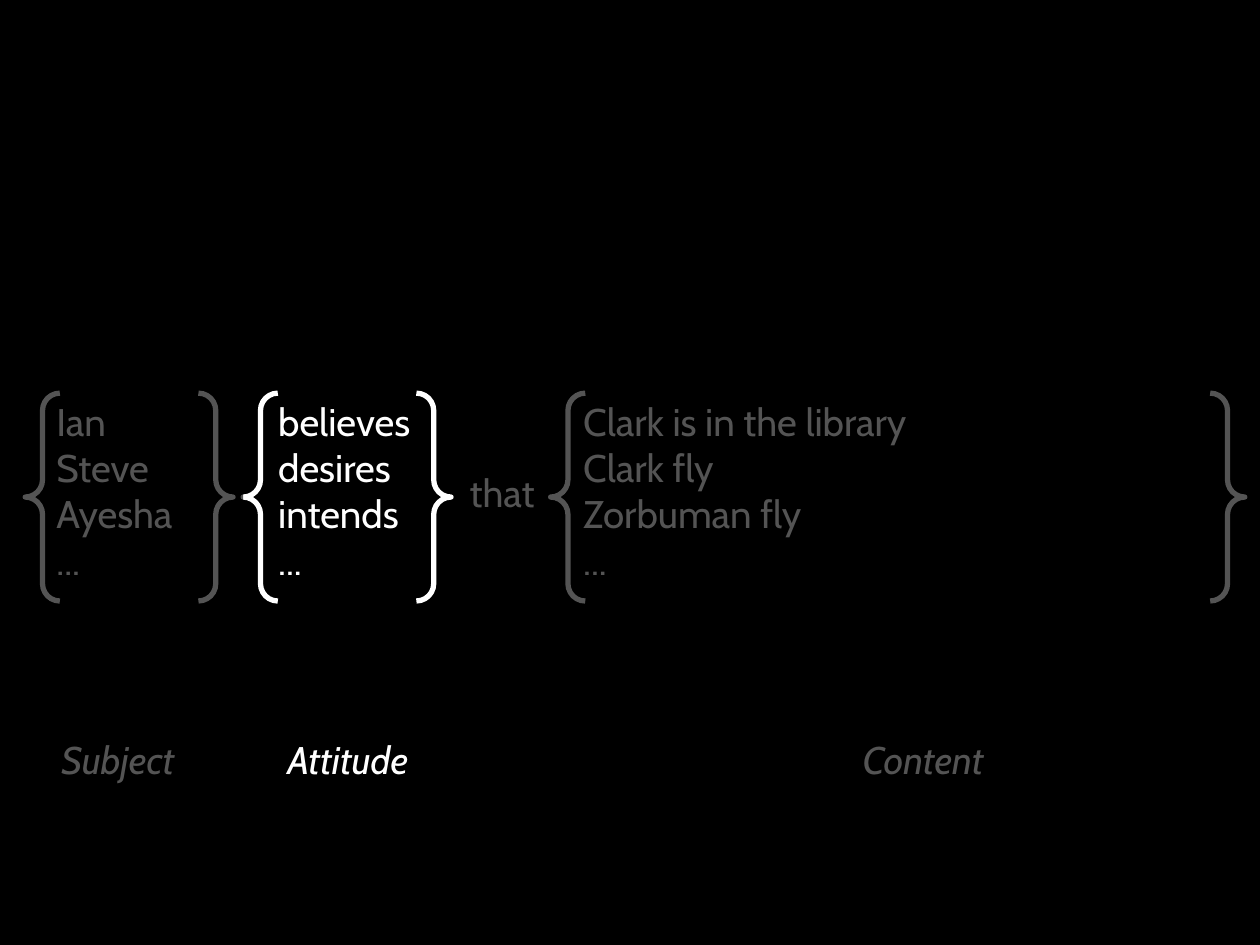
from dataclasses import dataclass

from lxml.etree import SubElement
from pptx import Presentation
from pptx.dml.color import RGBColor
from pptx.enum.shapes import MSO_SHAPE as Shape
from pptx.enum.text import MSO_AUTO_SIZE as AutoSize, PP_ALIGN as Align
from pptx.oxml.ns import qn
from pptx.util import Inches, Pt


@dataclass(frozen=True)
class Theme:
    paper: RGBColor = RGBColor(0, 0, 0)
    ink: RGBColor = RGBColor(255, 255, 255)
    font: str = "Cabin"
    size: float = 22
    brace_width: float = 3
    veil_opacity: int = 67


THEME = Theme()
LIST_TOP, LIST_HEIGHT = 3.11, 1.58
BRACE_TOP, BRACE_HEIGHT = 3.12, 1.65
LABEL_TOP, LINE_HEIGHT = 5.79, 0.47
VEIL_TOP, VEIL_HEIGHT = 2.49, 4.02

# Label, choices, and (left, width) of the braces, the list and the label
COLUMNS = [
    ("Subject", ["Ian", "Steve", "Ayesha", "..."],
     (0.2, 1.65), (0.35, 1.16), (0.33, 1.21)),
    ("Attitude", ["believes", "desires", "intends", "..."],
     (1.93, 1.65), (2.11, 1.29), (2.1, 1.32)),
    ("Content", ["Clark is in the library", "Clark fly", "Zorbuman fly", "..."],
     (4.37, 5.51), (4.53, 5.75), (4.45, 5.75)),
]
VEILS = [(0.03, 1.9), (3.66, 6.3)]


def box(span, top, height):
    left, width = span
    return [Inches(length) for length in (left, top, width, height)]


def add_text(slide, lines, bounds, *, align=Align.LEFT, italic=False, wrap=False):
    frame = slide.shapes.add_textbox(*bounds).text_frame
    frame.word_wrap = wrap
    frame.auto_size = AutoSize.SHAPE_TO_FIT_TEXT
    frame.text = "\n".join(lines)
    for paragraph in frame.paragraphs:
        paragraph.alignment = align
        font = paragraph.runs[0].font
        font.name, font.size = THEME.font, Pt(THEME.size)
        font.italic = italic
        font.color.rgb = THEME.ink


def add_braces(slide, span):
    braces = slide.shapes.add_shape(
        Shape.DOUBLE_BRACE, *box(span, BRACE_TOP, BRACE_HEIGHT))
    braces.shadow.inherit = False
    braces.fill.background()
    braces.line.color.rgb = THEME.ink
    braces.line.width = Pt(THEME.brace_width)


def add_veil(slide, span):
    """Dim everything below with a translucent sheet in the paper colour."""
    veil = slide.shapes.add_shape(
        Shape.RECTANGLE, *box(span, VEIL_TOP, VEIL_HEIGHT))
    veil.shadow.inherit = False
    veil.line.fill.background()
    veil.fill.solid()
    veil.fill.fore_color.rgb = THEME.paper
    colour = veil.fill._xPr.find(qn("a:solidFill"))[0]
    SubElement(colour, qn("a:alpha"), val=str(THEME.veil_opacity * 1000))


def add_column(slide, label, choices, brace_span, list_span, label_span):
    wrap = label == "Content"
    add_braces(slide, brace_span)
    add_text(slide, choices, box(list_span, LIST_TOP, LIST_HEIGHT), wrap=wrap)
    add_text(slide, [label], box(label_span, LABEL_TOP, LINE_HEIGHT),
             align=Align.CENTER, italic=True, wrap=wrap)


def main():
    deck = Presentation()
    deck.slide_width, deck.slide_height = Inches(10), Inches(7.5)
    slide = deck.slides.add_slide(deck.slide_layouts[6])
    slide.background.fill.solid()
    slide.background.fill.fore_color.rgb = THEME.paper

    add_text(slide, ["that"], box((3.63, 0.74), 3.67, LINE_HEIGHT))
    for column in COLUMNS:
        add_column(slide, *column)
    for span in VEILS:
        add_veil(slide, span)
    deck.save("out.pptx")


if __name__ == "__main__":
    main()
